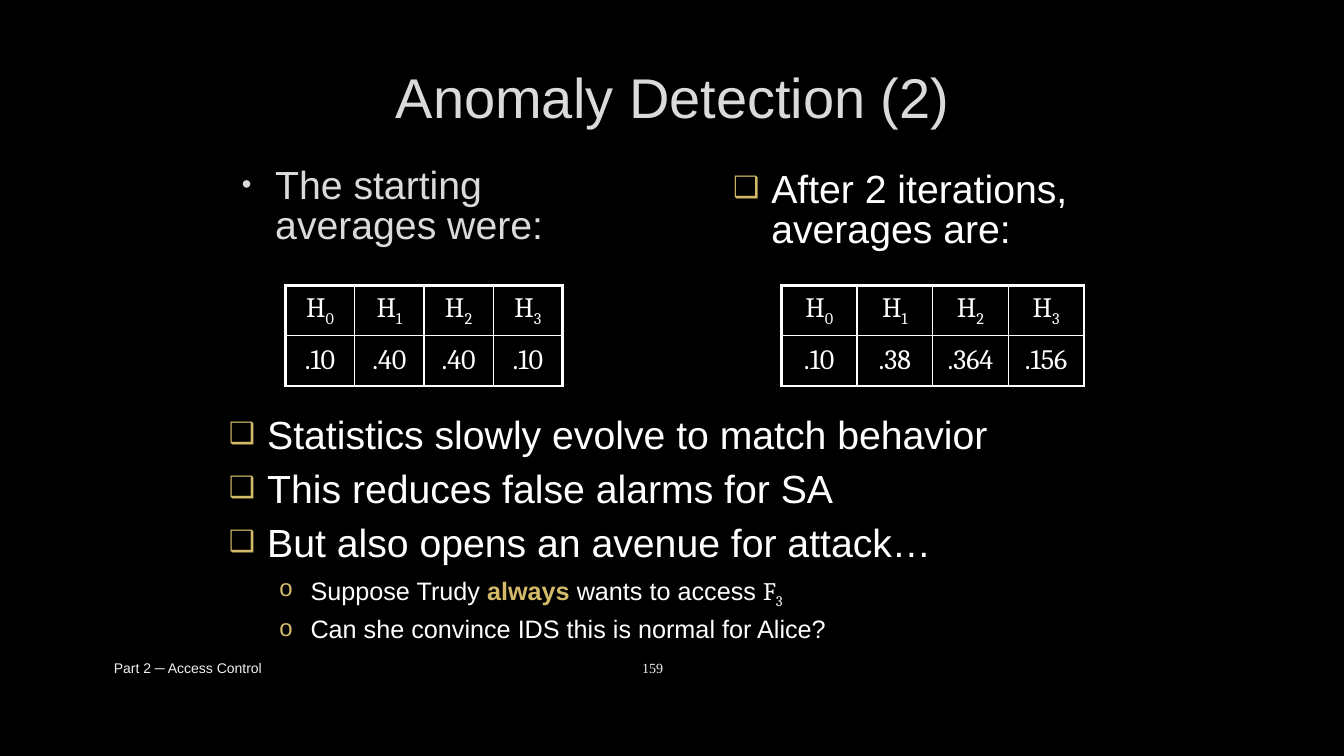
"""Build the anomaly detection slide with its two tables of averages."""
import dataclasses

import lxml.etree
import pptx
import pptx.dml.color
import pptx.enum.text
import pptx.oxml.ns
import pptx.util

Inches = pptx.util.Inches
Pt = pptx.util.Pt
Align = pptx.enum.text.PP_ALIGN
Anchor = pptx.enum.text.MSO_ANCHOR
qn = pptx.oxml.ns.qn


@dataclasses.dataclass(frozen=True)
class Theme:
    """Colours, fonts and type sizes of the slide."""
    back: str = "000000"
    text: str = "FFFFFF"
    soft: str = "DADADA"
    foot: str = "F2F2F2"
    gold: str = "D3BA68"
    sans: str = "Arial"
    math: str = "Cambria"
    serif: str = "Times New Roman"
    title: int = 40
    list: int = 28
    cell: int = 20
    sub: int = 18
    small: int = 10
    thick: float = 2.25
    thin: float = 1


THEME = Theme()
MAIN = dict(mark="❑", tint=THEME.gold, scale=75, left=0.38, hang=0.38,
            size=THEME.list, color=THEME.text)
FIRST = {**MAIN, "mark": "•", "tint": THEME.soft, "scale": 70,
         "hang": 0.33, "color": THEME.soft}
MINOR = {**MAIN, "mark": "o", "scale": 95, "left": 0.81, "hang": 0.31,
         "size": THEME.sub}


def rgb(code):
    """Turn a hex code into a colour."""
    return pptx.dml.color.RGBColor.from_string(code)


def assign(item, values):
    """Set each named value on the item."""
    for name, value in values.items():
        setattr(item, name, value)


def node(parent, tag, **attrs):
    """Append a drawing element to the parent."""
    return lxml.etree.SubElement(parent, qn("a:" + tag), attrs)


def add_run(para, text, size, color, font=THEME.sans, bold=False, sub=False):
    """Add one formatted run to the paragraph."""
    run = para.add_run()
    run.text = text
    assign(run.font, dict(name=font, size=Pt(size), bold=bold))
    run.font.color.rgb = rgb(color)
    if sub:
        run.font._element.set("baseline", "-25000")


def place(shape, left, top, width, height, anchor=Anchor.TOP):
    """Move a text shape and return its frame."""
    assign(shape, dict(left=Inches(left), top=Inches(top),
                       width=Inches(width), height=Inches(height)))
    frame = shape.text_frame
    assign(frame, dict(word_wrap=True, vertical_anchor=anchor,
                       auto_size=pptx.enum.text.MSO_AUTO_SIZE.NONE))
    return frame


def add_bullet(para, look):
    """Give the paragraph its indents and bullet."""
    props = para._p.get_or_add_pPr()
    props.set("marL", str(Inches(look["left"])))
    props.set("indent", str(-Inches(look["hang"])))
    node(node(props, "buClr"), "srgbClr", val=look["tint"])
    node(props, "buSzPct", val=str(look["scale"] * 1000))
    node(props, "buFont", typeface=THEME.sans)
    node(props, "buChar", char=look["mark"])


def fill_list(shape, box, items, pitch):
    """Write bulleted items, each a look and its runs."""
    frame = place(shape, *box)
    for i, (look, parts) in enumerate(items):
        para = frame.add_paragraph() if i else frame.paragraphs[0]
        add_bullet(para, look)
        size = look["size"]
        assign(para, dict(level=int(look is MINOR), line_spacing=pitch,
                          space_before=Pt(size * 0.2 if i else 0),
                          space_after=Pt(6), alignment=Align.LEFT))
        for text, extra in parts:
            add_run(para, text, **{"size": size, "color": look["color"],
                                   **extra})


def add_border(cell, sides):
    """Draw the cell's sides at the given widths."""
    props = cell._tc.get_or_add_tcPr()
    for i, (side, width) in enumerate(sides.items()):
        line = node(props, "ln" + side, w=str(Pt(width)))
        node(node(line, "solidFill"), "srgbClr", val=THEME.text)
        props.insert(i, line)


def add_means(slide, left, width, values):
    """Add a table of averages under H headings."""
    count = len(values)
    table = slide.shapes.add_table(2, count, Inches(left), Inches(2.83),
                                   Inches(width), Inches(1)).table
    assign(table, dict(first_row=False, horz_banding=False))
    for column in table.columns:
        column.width = Inches(width / count)
    for row in range(2):
        for col, value in enumerate(values):
            cell = table.cell(row, col)
            cell.fill.background()
            edges = dict(L=col == 0, R=col == count - 1,
                         T=row == 0, B=row == 1)
            add_border(cell, {side: THEME.thick if edge else THEME.thin
                              for side, edge in edges.items()})
            assign(cell, dict(vertical_anchor=Anchor.MIDDLE,
                              margin_left=Inches(0.05),
                              margin_right=Inches(0.05)))
            para = cell.text_frame.paragraphs[0]
            para.alignment = Align.CENTER
            style = (THEME.cell, THEME.text, THEME.math)
            add_run(para, value if row else "H", *style)
            if not row:
                add_run(para, str(col), *style, sub=True)


def add_foot(slide, text, number):
    """Add the footer with the page number at a tab."""
    shape = slide.shapes.add_textbox(0, 0, 0, 0)
    frame = place(shape, 1, 6.43, 7.3, 0.4, Anchor.MIDDLE)
    frame.margin_left = Inches(0.13)
    para = frame.paragraphs[0]
    tabs = node(para._p.get_or_add_pPr(), "tabLst")
    node(tabs, "tab", pos=str(Inches(5.24)), algn="l")
    add_run(para, text + "\t", THEME.small, THEME.foot)
    add_run(para, number, THEME.small, THEME.foot, THEME.serif)


def main():
    """Build and save the slide."""
    deck = pptx.Presentation()
    assign(deck, dict(slide_width=Inches(13.33), slide_height=Inches(7.5)))
    slide = deck.slides.add_slide(deck.slide_layouts[4])
    slide.background.fill.solid()
    slide.background.fill.fore_color.rgb = rgb(THEME.back)
    holders = {item.placeholder_format.idx: item
               for item in slide.placeholders}
    spare = holders[3]._element
    spare.getparent().remove(spare)

    frame = place(holders[0], 2.42, 0.33, 8.5, 1.25, Anchor.MIDDLE)
    para = frame.paragraphs[0]
    para.alignment = Align.CENTER
    add_run(para, "Anomaly Detection (2)", THEME.title, THEME.soft)

    fill_list(holders[2], (2.25, 1.61, 4.08, 1.08),
              [(FIRST, [("The starting averages were:", {})])], 0.85)
    fill_list(holders[4], (7.17, 1.65, 4.08, 0.97),
              [(MAIN, [("After 2 iterations, averages are:", {})])], 0.85)
    fill_list(holders[1], (2.17, 4.11, 9.08, 2.67), [
        (MAIN, [("Statistics slowly evolve to match behavior", {})]),
        (MAIN, [("This reduces false alarms for SA", {})]),
        (MAIN, [("But also opens an avenue for attack…", {})]),
        (MINOR, [("Suppose Trudy ", {}),
                 ("always", dict(color=THEME.gold, bold=True)),
                 (" wants to access ", {}),
                 ("F", dict(font=THEME.math)),
                 ("3", dict(font=THEME.math, sub=True))]),
        (MINOR, [("Can she convince IDS this is normal for Alice?", {})]),
    ], 0.8)

    add_means(slide, 2.83, 2.75, [".10", ".40", ".40", ".10"])
    add_means(slide, 7.75, 3, [".10", ".38", ".364", ".156"])
    add_foot(slide, "Part 2 ─ Access Control", "159")
    deck.save("out.pptx")


if __name__ == "__main__":
    main()
